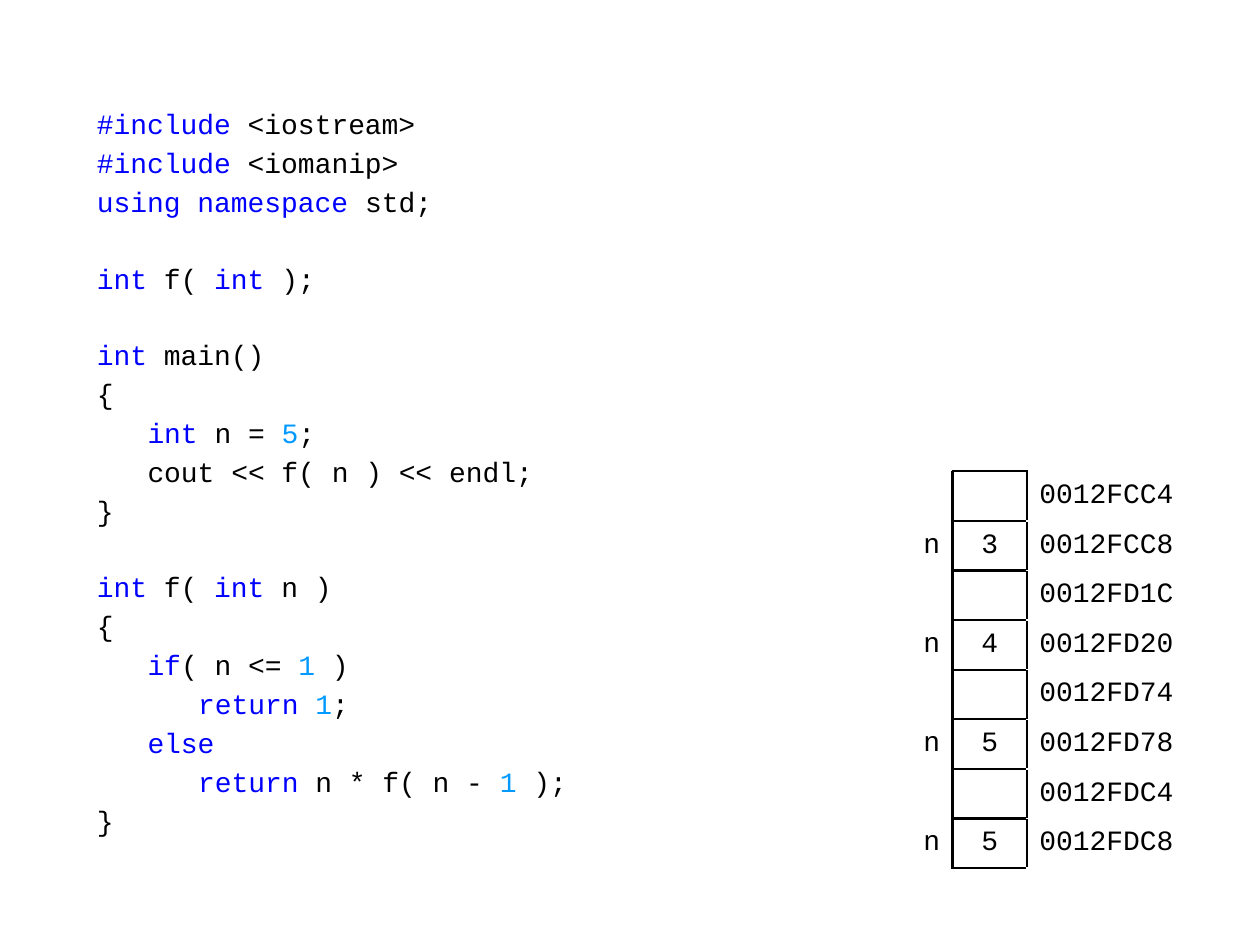
from dataclasses import dataclass

from lxml.etree import SubElement as Sub
from pptx import Presentation
from pptx.dml.color import RGBColor as RGB
from pptx.enum.text import MSO_ANCHOR as Anchor, MSO_AUTO_SIZE as Fit, PP_ALIGN as Align
from pptx.oxml.ns import qn
from pptx.util import Cm, Pt


@dataclass(frozen=True)
class Theme:
    font: str = "Courier New"
    size: Pt = Pt(16)
    ink: str = "000000"
    word: str = "0000FF"
    digit: str = "0099FF"
    rule: Pt = Pt(1.5)
    gap: float = 3.1
    pitch: float = 21.2
    indent: float = 1.02


THEME = Theme()

# Backticks enclose keywords and numbers; the first value is the indent level.
CODE = [
    [(0, "`#include` <iostream>"),
     (0, "`#include` <iomanip>"),
     (0, "`using namespace` std;")],
    [(0, "`int` f( `int` );")],
    [(0, "`int` main()"),
     (0, "{"),
     (1, "`int` n = `5`;"),
     (1, "cout << f( n ) << endl;"),
     (0, "}")],
    [(0, "`int` f( `int` n )"),
     (0, "{"),
     (1, "`if`( n <= `1` )"),
     (2, "`return` `1`;"),
     (1, "`else`"),
     (2, "`return` n * f( n - `1` );"),
     (0, "}")],
]

FREE = 4  # unused rows above the stack
STACK = [
    ("", "", "0012FCC4"),
    ("n", "3", "0012FCC8"),
    ("", "", "0012FD1C"),
    ("n", "4", "0012FD20"),
    ("", "", "0012FD74"),
    ("n", "5", "0012FD78"),
    ("", "", "0012FDC4"),
    ("n", "5", "0012FDC8"),
]
COLS = [(1, Align.RIGHT), (1.5, Align.CENTER), (3.5, Align.LEFT)]
SIDES = ["R", "LRTB", "L"]


def style(run, color):
    run.font.name = THEME.font
    run.font.size = THEME.size
    run.font.color.rgb = RGB.from_string(color)


def add_code(slide, left, top, width, height):
    box = slide.placeholders[1]
    box.left, box.top, box.width, box.height = map(Cm, (left, top, width, height))
    frame = box.text_frame
    frame.auto_size = Fit.NONE
    frame.word_wrap = True
    frame.vertical_anchor = Anchor.TOP
    lines = [(level, text, part > 0 and row == 0)
             for part, block in enumerate(CODE)
             for row, (level, text) in enumerate(block)]
    for i, (level, text, apart) in enumerate(lines):
        para = frame.add_paragraph() if i else frame.paragraphs[0]
        para.alignment = Align.LEFT
        para.space_before = Pt(THEME.gap + THEME.pitch * apart)
        props = para._p.get_or_add_pPr()
        props.set("marL", str(Cm(THEME.indent * level)))
        props.set("indent", "0")
        for j, piece in enumerate(text.split("`")):
            if piece:
                run = para.add_run()
                run.text = piece
                mark = THEME.digit if piece.isdigit() else THEME.word
                style(run, mark if j % 2 else THEME.ink)


def add_border(cell, sides):
    props = cell._tc.get_or_add_tcPr()
    for side in sides:
        line = Sub(props, qn("a:ln" + side), w=str(THEME.rule))
        fill = Sub(line, qn("a:solidFill"))
        Sub(fill, qn("a:srgbClr"), val=THEME.ink)


def add_stack(slide, left, top, width, height):
    rows = [("", "", "")] * FREE + STACK
    table = slide.shapes.add_table(
        len(rows), len(COLS), *map(Cm, (left, top, width, height))).table
    table.first_row = table.horz_banding = False
    for col, (wide, _) in zip(table.columns, COLS):
        col.width = Cm(wide)
    for r, row in enumerate(rows):
        table.rows[r].height = Cm(height / len(rows))
        for c, text in enumerate(row):
            cell = table.cell(r, c)
            cell.margin_top = cell.margin_bottom = Cm(0.1)
            cell.margin_right = Cm(0.2 if c == 2 else 0.25)
            cell.vertical_anchor = Anchor.MIDDLE
            if r >= FREE:
                add_border(cell, SIDES[c])
            elif r == FREE - 1 and c == 1:
                add_border(cell, "B")
            cell.fill.background()
            if text:
                para = cell.text_frame.paragraphs[0]
                para.text = text
                para.alignment = COLS[c][1]
                style(para.runs[0], THEME.ink)


def main():
    deck = Presentation()
    deck.slide_width, deck.slide_height = Cm(25.4), Cm(19.05)
    slide = deck.slides.add_slide(deck.slide_layouts[0])
    title = slide.shapes.title._element
    title.getparent().remove(title)
    add_code(slide, 1.7, 2.03, 13, 14.5)
    add_stack(slide, 18.2, 5.5, 6, 12)
    deck.save("out.pptx")


if __name__ == "__main__":
    main()
